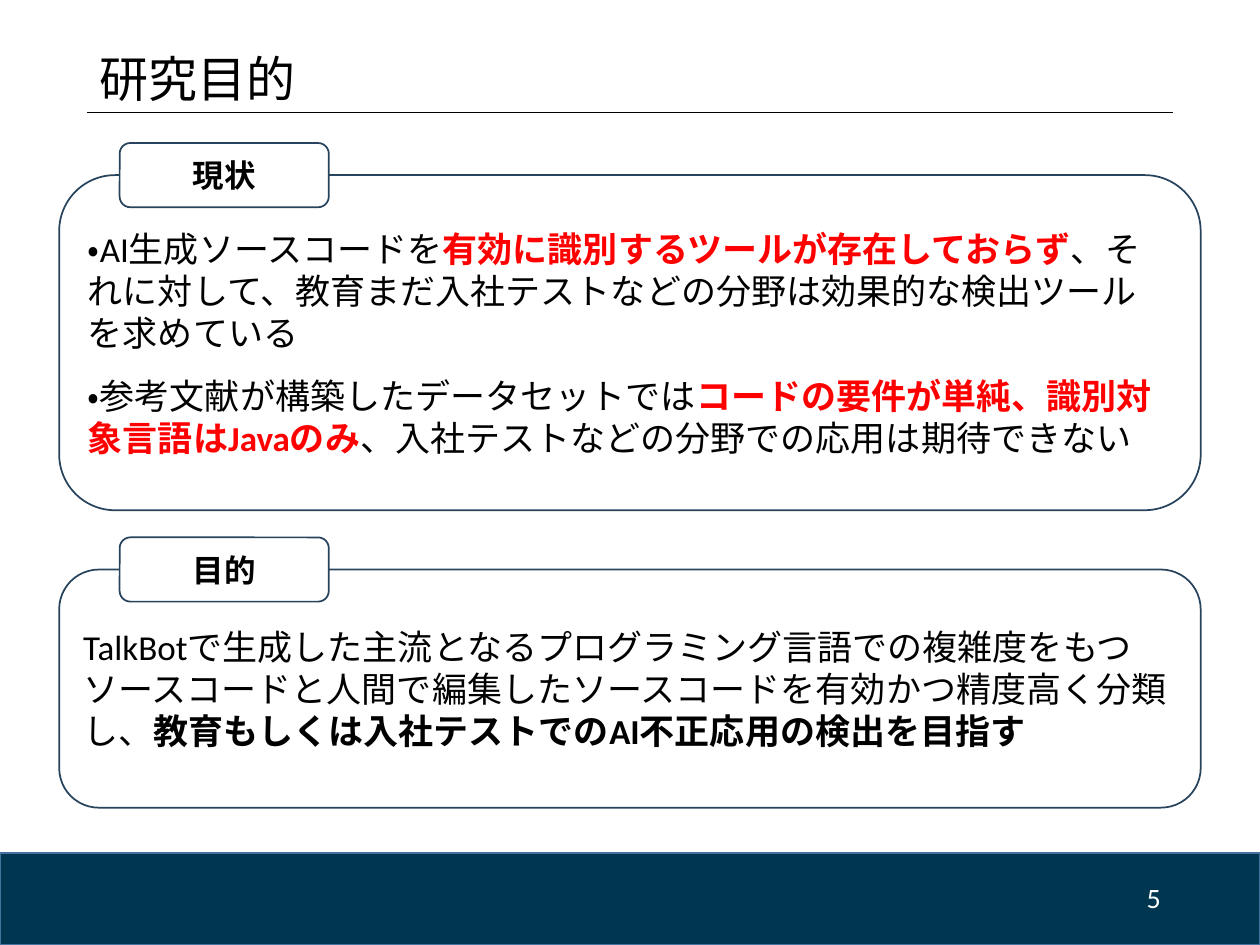
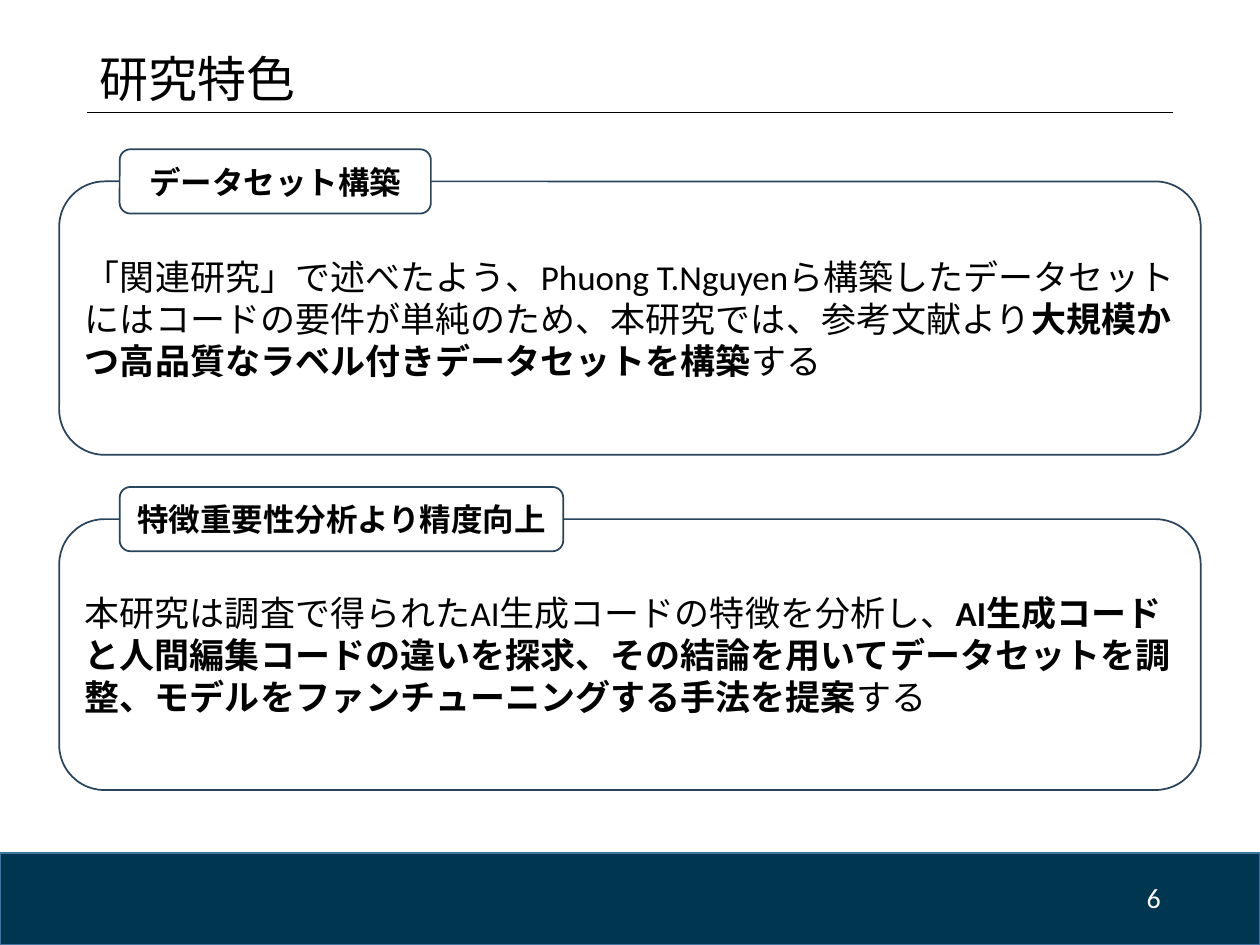
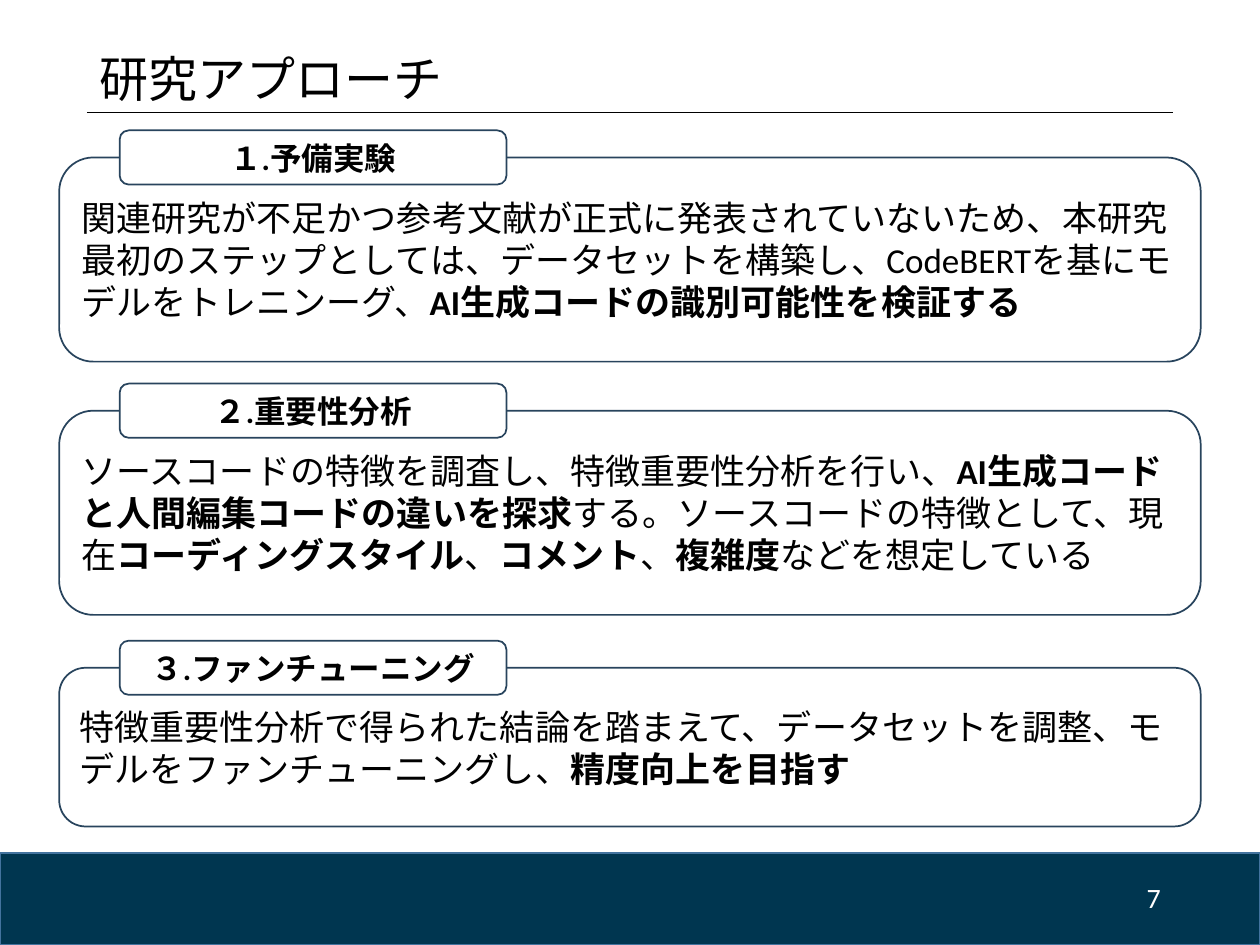
from dataclasses import dataclass

from lxml import etree
from pptx import Presentation
from pptx.dml.color import RGBColor
from pptx.enum.lang import MSO_LANGUAGE_ID
from pptx.enum.shapes import MSO_CONNECTOR, MSO_SHAPE
from pptx.enum.text import MSO_ANCHOR, MSO_AUTO_SIZE, PP_ALIGN
from pptx.oxml.ns import qn
from pptx.util import Inches, Pt


@dataclass(frozen=True)
class Theme:
    font: str = "Calibri"
    black: RGBColor = RGBColor(0x00, 0x00, 0x00)
    white: RGBColor = RGBColor(0xFF, 0xFF, 0xFF)
    red: RGBColor = RGBColor(0xFF, 0x00, 0x00)
    band: RGBColor = RGBColor(0x00, 0x36, 0x50)
    band_line: RGBColor = RGBColor(0x43, 0x73, 0x9E)
    outline: RGBColor = RGBColor(0x28, 0x44, 0x5D)
    title_size: int = 28
    body_size: int = 20
    tag_size: int = 18
    number_size: int = 16


THEME = Theme()
MARGIN, CONTENT_WIDTH = 0.69, 8.62
PANEL_LEFT, PANEL_WIDTH = 0.47, 9.06
TAG_INDENT = 0.48
FIRST_NUMBER = 5


@dataclass(frozen=True)
class Panel:
    """A labelled box; each paragraph alternates plain and emphasised text."""
    top: float
    height: float
    tag: str
    paragraphs: list
    tag_width: float
    tag_height: float = 0.51
    emphasis: RGBColor = THEME.black


SLIDES = [
    ("研究目的", [
        Panel(1.39, 2.66, "現状", [
            ["・AI生成ソースコードを", "有効に識別するツールが存在しておらず",
             "、それに対して、教育まだ入社テストなどの分野は効果的な検出ツールを求めている"],
            ["・参考文献が構築したデータセットでは",
             "コードの要件が単純、識別対象言語はJavaのみ",
             "、入社テストなどの分野での応用は期待できない"],
        ], 1.66, emphasis=THEME.red),
        Panel(4.52, 1.89, "目的", [
            ["TalkBotで生成した主流となるプログラミング言語での複雑度をもつ"
             "ソースコードと人間で編集したソースコードを有効かつ精度高く分類し、",
             "教育もしくは入社テストでのAI不正応用の検出を目指す"],
        ], 1.66),
    ]),
    ("研究特色", [
        Panel(1.44, 2.17, "データセット構築", [
            ["「関連研究」で述べたよう、Phuong T.Nguyenら構築したデータセットには"
             "コードの要件が単純のため、本研究では、参考文献より",
             "大規模かつ高品質なラベル付きデータセットを構築", "する"],
        ], 2.47),
        Panel(4.12, 2.15, "特徴重要性分析より精度向上", [
            ["本研究は調査で得られたAI生成コードの特徴を分析し、",
             "AI生成コードと人間編集コードの違いを探求、その結論を用いて"
             "データセットを調整、モデルをファンチューニングする手法を提案", "する"],
        ], 3.52),
    ]),
    ("研究アプローチ", [
        Panel(1.25, 1.62, "１.予備実験", [
            ["関連研究が不足かつ参考文献が正式に発表されていないため、"
             "本研究最初のステップとしては、データセットを構築し、"
             "CodeBERTを基にモデルをトレニンーグ、",
             "AI生成コードの識別可能性を検証する"],
        ], 3.07, 0.43),
        Panel(3.26, 1.62, "２.重要性分析", [
            ["ソースコードの特徴を調査し、特徴重要性分析を行い、",
             "AI生成コードと人間編集コードの違いを探求",
             "する。ソースコードの特徴として、現在", "コーディングスタイル", "、",
             "コメント", "、", "複雑度", "などを想定している"],
        ], 3.07, 0.43),
        Panel(5.3, 1.26, "３.ファンチューニング", [
            ["特徴重要性分析で得られた結論を踏まえて、データセットを調整、"
             "モデルをファンチューニングし、", "精度向上を目指す"],
        ], 3.07, 0.43),
    ]),
]


def style_run(r, size, color=THEME.black, bold=False):
    r.font.name = THEME.font
    r.font.size = Pt(size)
    r.font.bold = bold
    r.font.color.rgb = color
    r.font.language_id = MSO_LANGUAGE_ID.JAPANESE


def add_box(s, kind, left, top, width, height, line, fill=None):
    sp = s.shapes.add_shape(kind, Inches(left), Inches(top), Inches(width), Inches(height))
    sp.shadow.inherit = False
    if fill is None:
        sp.fill.background()
    else:
        sp.fill.solid()
        sp.fill.fore_color.rgb = fill
    sp.line.color.rgb = line
    sp.line.width = Pt(1)
    sp.text_frame.vertical_anchor = MSO_ANCHOR.MIDDLE
    return sp


def add_title(s, text, left, top, width, height):
    """Fill the title placeholder and underline it."""
    sp = s.shapes.title
    sp.left, sp.top, sp.width, sp.height = map(Inches, (left, top, width, height))
    tf = sp.text_frame
    tf.text = text
    tf.auto_size = MSO_AUTO_SIZE.NONE
    tf.vertical_anchor = MSO_ANCHOR.MIDDLE
    p = tf.paragraphs[0]
    p.alignment = PP_ALIGN.LEFT
    p.line_spacing = 0.9
    style_run(p.runs[0], THEME.title_size)

    y = Inches(top + height)
    rule = s.shapes.add_connector(MSO_CONNECTOR.STRAIGHT, Inches(left), y,
                                  Inches(left + width), y)
    rule.line.color.rgb = THEME.black
    rule.line.width = Pt(0.5)
    etree.SubElement(rule.element.spPr, qn("a:effectLst"))


def add_footer(s, number, top, height):
    add_box(s, MSO_SHAPE.RECTANGLE, 0, top, 10, height, THEME.band_line, THEME.band)
    number_width = 1.44
    sp = s.shapes.add_textbox(Inches(MARGIN + CONTENT_WIDTH - number_width),
                              Inches(top + 0.15), Inches(number_width), Inches(0.4))
    tf = sp.text_frame
    tf.word_wrap = True
    tf.vertical_anchor = MSO_ANCHOR.MIDDLE
    tf.text = str(number)
    p = tf.paragraphs[0]
    p.alignment = PP_ALIGN.RIGHT
    style_run(p.runs[0], THEME.number_size, THEME.white)


def add_panel(s, panel, left, width):
    """Draw the outlined box and the tag centred on its top edge."""
    tf = add_box(s, MSO_SHAPE.ROUNDED_RECTANGLE, left, panel.top, width, panel.height,
                 THEME.outline).text_frame
    for i, parts in enumerate(panel.paragraphs):
        p = tf.add_paragraph() if i else tf.paragraphs[0]
        p.alignment = PP_ALIGN.LEFT
        p.space_before = Pt(12 if i else 0)
        for j, text in enumerate(parts):
            strong = j % 2 == 1
            r = p.add_run()
            r.text = text
            style_run(r, THEME.body_size, panel.emphasis if strong else THEME.black, strong)

    tag = add_box(s, MSO_SHAPE.ROUNDED_RECTANGLE, left + TAG_INDENT,
                  panel.top - panel.tag_height / 2, panel.tag_width, panel.tag_height,
                  THEME.outline, THEME.white)
    tag.text_frame.text = panel.tag
    p = tag.text_frame.paragraphs[0]
    p.alignment = PP_ALIGN.CENTER
    style_run(p.runs[0], THEME.tag_size, bold=True)


def add_panel_slide(prs, number, title, panels):
    s = prs.slides.add_slide(prs.slide_layouts[5])
    add_footer(s, number, 6.77, 0.73)
    add_title(s, title, MARGIN, 0.4, CONTENT_WIDTH, 0.49)
    for panel in panels:
        add_panel(s, panel, PANEL_LEFT, PANEL_WIDTH)


def main():
    prs = Presentation()
    prs.slide_width, prs.slide_height = Inches(10), Inches(7.5)
    for number, (title, panels) in enumerate(SLIDES, FIRST_NUMBER):
        add_panel_slide(prs, number, title, panels)
    prs.save("out.pptx")


if __name__ == "__main__":
    main()
